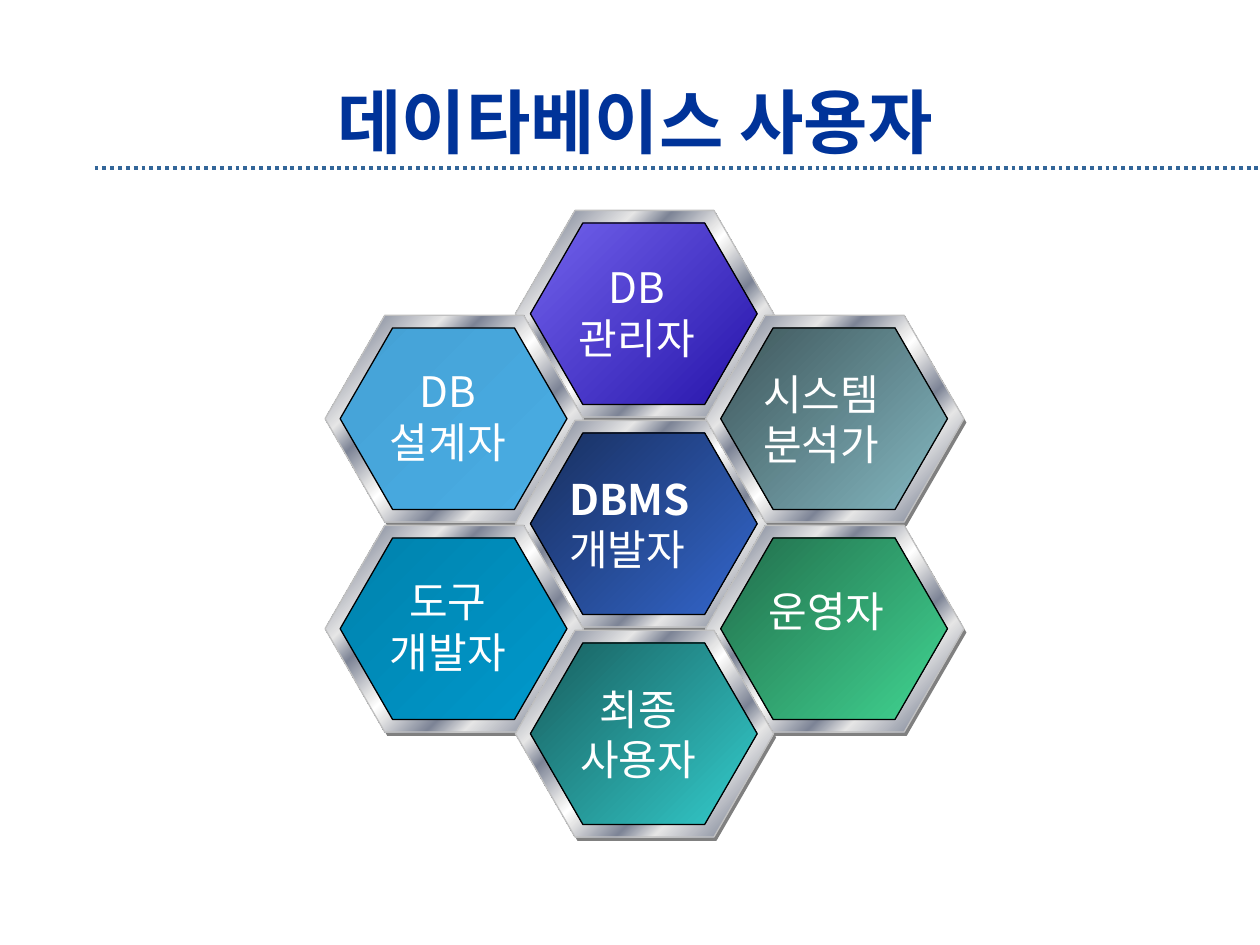
import pptx
import pptx.dml.color
import pptx.enum.dml
import pptx.enum.shapes
import pptx.enum.text
import pptx.util
from pptx.oxml.ns import qn
from lxml import etree

FONT = "Noto Sans CJK KR"
TITLE = "데이타베이스 사용자"
# column, row, gradient, text offset in the cell, centred, lines (text, bold)
CELLS = [
    (1, 0, ("7262EC", "2614AA"), (0.36, 0.36), True, [("DB", False), ("관리자", False)]),
    (0, 1, ("45A2D6", "49ACE3"), (0.37, 0.35), True, [("DB", False), ("설계자", False)]),
    (1, 2, ("182F5E", "3366CC"), (0.33, 0.37), False, [("DBMS", True), ("개발자", False)]),
    (2, 1, ("3E565A", "85B9C3"), (0.36, 0.37), False, [("시스템", False), ("분석가", False)]),
    (2, 3, ("216D4B", "41D592"), (0.4, 0.43), False, [("운영자", False)]),
    (0, 3, ("0082AD", "0099CC"), (0.37, 0.35), True, [("도구", False), ("개발자", False)]),
    (1, 4, ("185E5E", "33CCCC"), (0.37, 0.37), True, [("최종", False), ("사용자", False)]),
]
STEEL = [(0, "E6E6E6"), (8, "7D8496"), (26, "E6E6E6"), (34, "7D8496"),
         (46, "E6E6E6"), (50, "FFFFFF"), (54, "E6E6E6"), (66, "7D8496"),
         (74, "E6E6E6"), (92, "7D8496"), (100, "E6E6E6")]
LEFT, TOP = 2.58, 1.67
STEP_X, STEP_Y = 1.51, 5 / 6
OUTER, INNER = (2.05, 1.64), (1.8, 1.44)

inch, pt = pptx.util.Inches, pptx.util.Pt
align = pptx.enum.text.PP_ALIGN


def color(code):
    return pptx.dml.color.RGBColor.from_string(code)


def blend(fill, stops):
    """Fill with a diagonal gradient of (percent, colour) stops."""
    fill.gradient()
    fill.gradient_angle = 315
    chain = fill._xPr.find(qn("a:gradFill")).find(qn("a:gsLst"))
    for old in list(chain):
        chain.remove(old)
    for share, code in stops:
        stop = etree.SubElement(chain, qn("a:gs"), pos=str(share * 1000))
        etree.SubElement(stop, qn("a:srgbClr"), val=code)


def hexagon(x, y, size, stops, edge=None):
    kind = pptx.enum.shapes.MSO_SHAPE.HEXAGON
    shape = slide.shapes.add_shape(kind, inch(x), inch(y), *map(inch, size))
    shape.shadow.inherit = False
    shape.adjustments[0] = 0.289
    shape.adjustments[1] = 1.155
    if len(stops) > 1:
        blend(shape.fill, stops)
    else:
        shape.fill.solid()
        shape.fill.fore_color.rgb = color(stops[0][1])
    if edge:
        shape.line.color.rgb = color(edge)
        shape.line.width = pt(0.75)
    else:
        shape.line.fill.background()


def label(box, lines, size, code, side, wrap=False):
    frame = slide.shapes.add_textbox(*map(inch, box)).text_frame
    frame.word_wrap = wrap
    for i, (text, bold) in enumerate(lines):
        para = frame.add_paragraph() if i else frame.paragraphs[0]
        para.alignment = side
        run = para.add_run()
        run.text = text
        run.font.name = FONT
        run.font.size = pt(size)
        run.font.bold = bold
        run.font.color.rgb = color(code)
        east = etree.SubElement(run.font._element, qn("a:ea"))
        east.set("typeface", FONT)
    return frame


deck = pptx.Presentation()
deck.slide_width, deck.slide_height = inch(10), inch(7.5)
slide = deck.slides.add_slide(deck.slide_layouts[6])

rule = slide.shapes.add_connector(pptx.enum.shapes.MSO_CONNECTOR.STRAIGHT,
                                  inch(0.75), inch(1.33), inch(10), inch(1.33))
rule.line.color.rgb = color("336699")
rule.line.width = pt(2.25)
rule.line.dash_style = pptx.enum.dml.MSO_LINE.ROUND_DOT
etree.SubElement(rule._element.spPr, qn("a:effectLst"))

title = label((0.75, 0.67, 8.58, 0.58), [(TITLE, True)], 40, "003399",
              align.CENTER, wrap=True)
title.vertical_anchor = pptx.enum.text.MSO_ANCHOR.MIDDLE

for col, row, ends, (dx, dy), mid, lines in CELLS:
    x, y = LEFT + col * STEP_X, TOP + row * STEP_Y
    hexagon(x + 0.02, y + 0.03, OUTER, [(0, "808080")])
    hexagon(x, y, OUTER, STEEL, "C0C0C0")
    hexagon(x + 0.12, y + 0.1, INNER, list(zip((0, 100), ends)), "000000")
    label((x + dx, y + dy, 1.21, 0.11 + 0.4 * len(lines)), lines, 24, "FFFFFF",
          align.CENTER if mid else align.LEFT)

deck.save("out.pptx")
